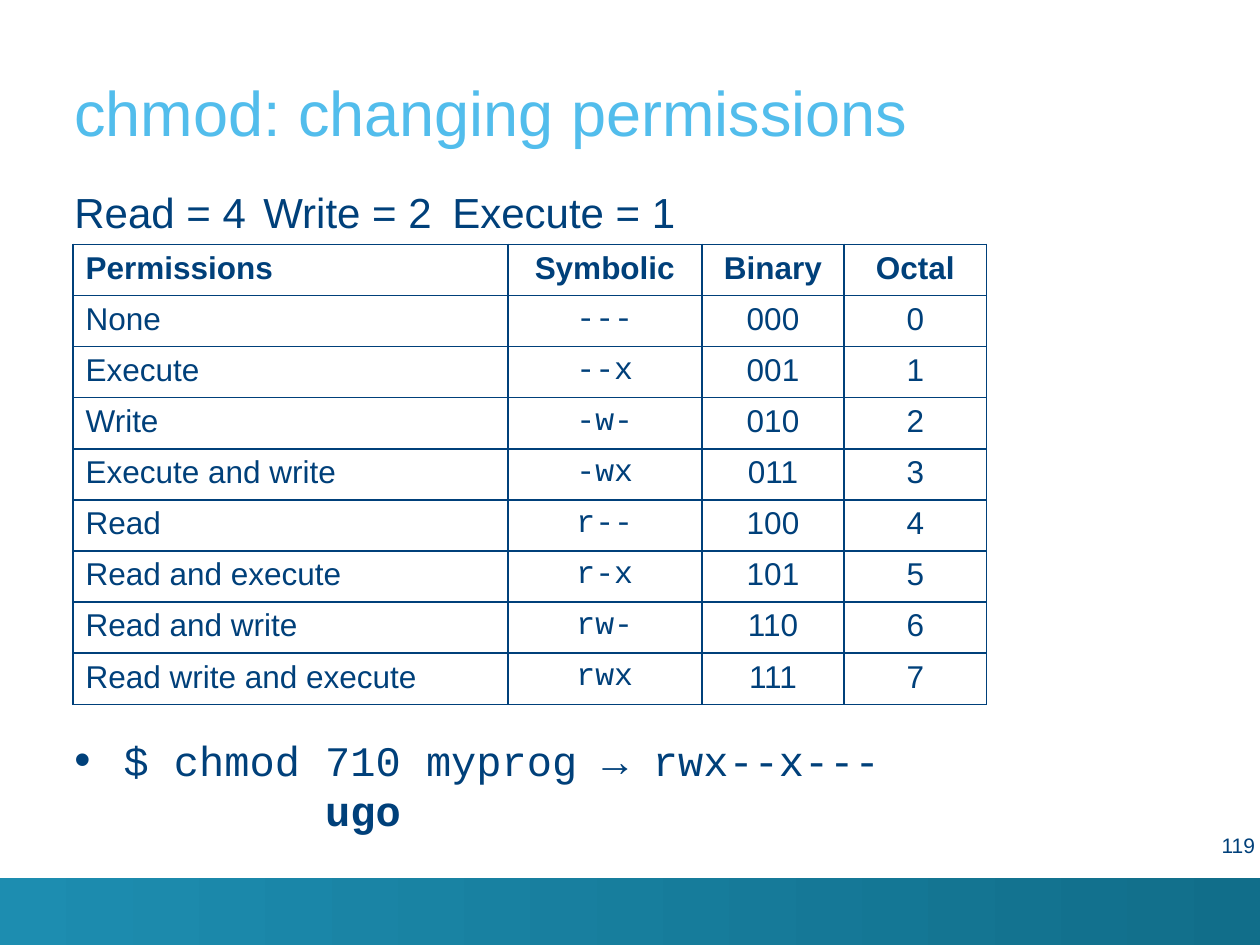
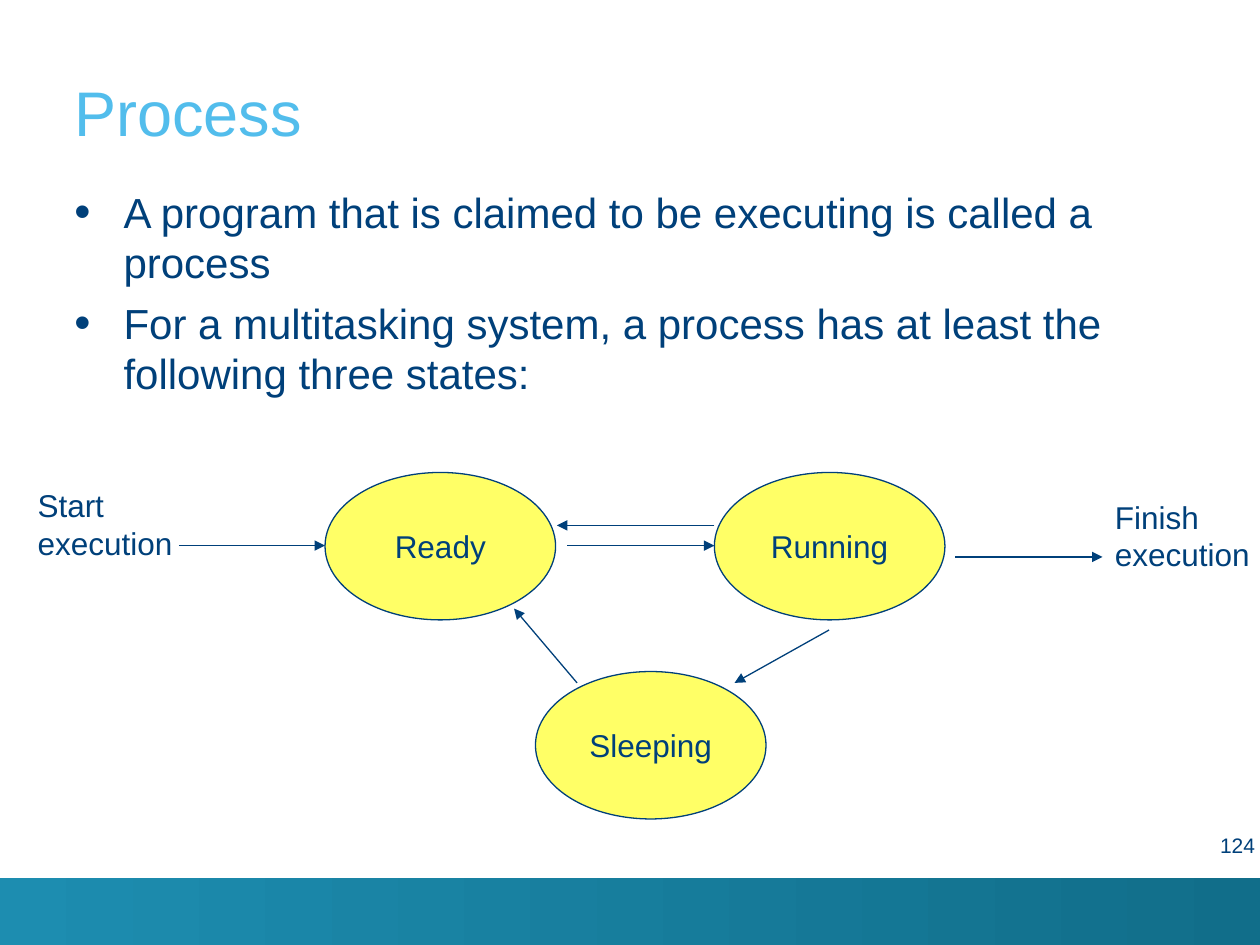
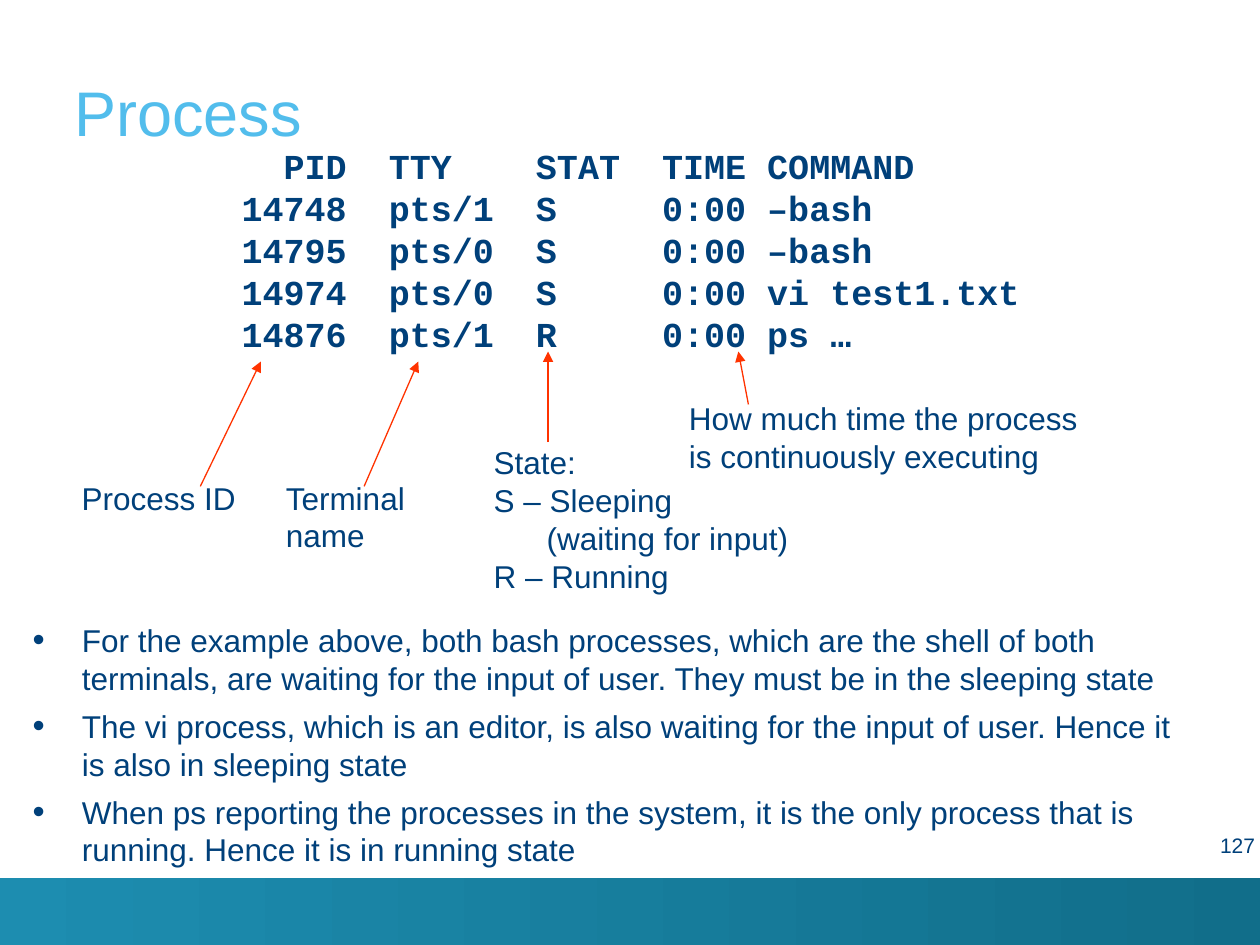
import pptx
import pptx.util
import pptx.dml.color
import pptx.enum.shapes
import pptx.enum.text
import pptx.oxml
import pptx.oxml.ns
from lxml import etree

Inches = pptx.util.Inches
Pt = pptx.util.Pt
ALIGN = pptx.enum.text.PP_ALIGN
ANCHOR = pptx.enum.text.MSO_ANCHOR
SHAPE = pptx.enum.shapes.MSO_SHAPE
LINE = pptx.enum.shapes.MSO_CONNECTOR

HUES = {"navy": "00407A", "sky": "52BDEC", "teal": "1D8DB0", "deep": "116E8A",
        "yellow": "FFFF66", "red": "FF3300"}
SANS, MONO = "Arial", "Courier New"
LEAD = 1.2      # line height as a share of the text size
HANG = 0.39     # hanging indent of bullets, inches
BODY = (0.59, 1.48, 9.11, 4.84)


def hue(name):
    return pptx.dml.color.RGBColor.from_string(HUES[name])


def sub(parent, tag, **attrs):
    node = etree.SubElement(parent, pptx.oxml.ns.qn(tag))
    for key, value in attrs.items():
        node.set(key, str(value))
    return node


# Text
def add_run(para, text, size, font=SANS, color="navy", bold=False):
    run = para.add_run()
    run.text = text
    run.font.size = Pt(size)
    run.font.name = font
    run.font.bold = bold
    run.font.color.rgb = hue(color)


def indent(para, left, first=0):
    props = para._p.get_or_add_pPr()
    props.set("marL", str(Inches(left)))
    props.set("indent", str(Inches(first)))
    return props


def bullet(para):
    props = indent(para, HANG, -HANG)
    sub(props, "a:buSzPct", val=110000)
    sub(props, "a:buFont", typeface=SANS)
    sub(props, "a:buChar", char="•")


def fill_text(frame, lines, size, align=ALIGN.LEFT, bullets=False, gap=0, **look):
    for i, line in enumerate(lines):
        para = frame.paragraphs[0] if i == 0 else frame.add_paragraph()
        if bullets:
            bullet(para)
        para.alignment = align
        para.line_spacing = Pt(size * LEAD)
        if i and gap:
            para.space_before = Pt(gap)
        add_run(para, line, size, **look)


def add_text(slide, box, lines, size, inset=True, wrap=True, anchor=ANCHOR.TOP, **look):
    frame = slide.shapes.add_textbox(*map(Inches, box)).text_frame
    frame.word_wrap = wrap
    frame.vertical_anchor = anchor
    if not inset:
        frame.margin_left = frame.margin_right = 0
        frame.margin_top = frame.margin_bottom = 0
    fill_text(frame, lines, size, **look)
    return frame


def add_list(slide, box, lines, size):
    add_text(slide, box, lines, size, inset=False, bullets=True, gap=5.8)


# Lines
def add_arrow(slide, start, end, color="navy"):
    arrow = slide.shapes.add_connector(LINE.STRAIGHT, *map(Inches, start + end))
    arrow.line.color.rgb = hue(color)
    arrow.line.width = Pt(0.75)
    sub(arrow.line._get_or_add_ln(), "a:tailEnd", type="triangle")
    sub(arrow._element.spPr, "a:effectLst")


# Shared frame: band, title, number
def add_slide(deck, title, number):
    slide = deck.slides.add_slide(deck.slide_layouts[6])
    band = slide.shapes.add_shape(SHAPE.RECTANGLE, *map(Inches, (0, 6.97, 10, 0.53)))
    band.shadow.inherit = False
    band.line.fill.background()
    band.fill.gradient()
    band.fill.gradient_angle = 0
    for stop, name, place in zip(band.fill.gradient_stops, ("teal", "deep"), (0, 1)):
        stop.color.rgb = hue(name)
        stop.position = place
    add_text(slide, (0.59, 0.2, 9.11, 0.98), [title], 36, inset=False,
             anchor=ANCHOR.BOTTOM, color="sky")
    add_text(slide, (8.94, 6.61, 1.02, 0.31), [str(number)], 12, inset=False,
             align=ALIGN.RIGHT)
    return slide


# Permission table
def add_border(cell):
    props = cell._tc.get_or_add_tcPr()
    for i, side in enumerate(("a:lnL", "a:lnR", "a:lnT", "a:lnB")):
        edge = etree.Element(pptx.oxml.ns.qn(side), w=str(Pt(1)))
        sub(sub(edge, "a:solidFill"), "a:srgbClr", val=HUES["navy"])
        props.insert(i, edge)


def add_grid(slide, box, widths, rows):
    grid = slide.shapes.add_table(len(rows), len(widths), *map(Inches, box)).table
    grid.first_row = grid.horz_banding = False
    for col, width in zip(grid.columns, widths):
        col.width = Inches(width)
    for r, row in enumerate(rows):
        grid.rows[r].height = Inches(box[3] / len(rows))
        for c, text in enumerate(row):
            cell = grid.cell(r, c)
            cell.fill.background()
            add_border(cell)
            para = cell.text_frame.paragraphs[0]
            para.alignment = ALIGN.CENTER if c else ALIGN.LEFT
            add_run(para, text, 18, font=MONO if r and c == 1 else SANS, bold=r == 0)


def chmod_slide(deck):
    slide = add_slide(deck, "chmod: changing permissions", 119)
    left, top, width, _ = BODY
    add_text(slide, (left, top, width, 0.4), ["Read = 4\tWrite = 2\tExecute = 1"], 24,
             inset=False)
    names = ("None", "Execute", "Write", "Execute and write", "Read",
             "Read and execute", "Read and write", "Read write and execute")
    rows = [("Permissions", "Symbolic", "Binary", "Octal")]
    for n, name in enumerate(names):
        flags = "".join(f if n & bit else "-" for f, bit in zip("rwx", (4, 2, 1)))
        rows.append((name, flags, f"{n:03b}", str(n)))
    add_grid(slide, (0.58, 1.94, 7.26, 3.65), (3.45, 1.54, 1.13, 1.13), rows)

    # Command, with the digit owners below the mode
    frame = add_text(slide, (left, 5.83, width, 0.8), ["$ chmod 710 myprog → rwx--x---"],
                     24, inset=False, bullets=True, font=MONO)
    para = frame.add_paragraph()
    indent(para, HANG + 1.6)
    para.line_spacing = Pt(24 * LEAD)
    add_run(para, "ugo", 24, font=MONO, bold=True)


# Process states
def add_state(slide, left, top, name):
    oval = slide.shapes.add_shape(SHAPE.OVAL, *map(Inches, (left, top, 1.83, 1.17)))
    oval.shadow.inherit = False
    oval.fill.solid()
    oval.fill.fore_color.rgb = hue("yellow")
    oval.line.color.rgb = hue("navy")
    oval.line.width = Pt(0.75)
    oval.text_frame.word_wrap = False
    oval.text_frame.vertical_anchor = ANCHOR.MIDDLE
    fill_text(oval.text_frame, [name], 18, align=ALIGN.CENTER)


def add_states(slide, x, y):
    for dx, dy, name in ((2.38, 0, "Ready"), (5.47, 0, "Running"), (4.05, 1.58, "Sleeping")):
        add_state(slide, x + dx, y + dy, name)
    for x1, y1, x2, y2 in ((1.22, 0.58, 2.38, 0.58), (4.3, 0.58, 5.47, 0.58),
                           (7.38, 0.67, 8.55, 0.67), (4.38, 1.67, 3.88, 1.08),
                           (5.47, 0.42, 4.22, 0.42), (6.38, 1.25, 5.63, 1.67)):
        add_arrow(slide, (x + x1, y + y1), (x + x2, y + y2))
    add_text(slide, (x, y + 0.06, 1.6, 0.9), ["Start execution"], 18)
    add_text(slide, (x + 8.55, y + 0.15, 1.67, 0.9), ["Finish execution"], 18)


def state_slide(deck):
    slide = add_slide(deck, "Process", 124)
    add_list(slide, BODY, [
        "A program that is claimed to be executing is called a process",
        "For a multitasking system, a process has at least the following three states:",
    ], 24)
    add_states(slide, 0.2, 3.75)


# Process listing with its notes
def add_notes(slide, x, y):
    add_text(slide, (x + 1.27, y, 6.43, 1.78), [
        "  PID  TTY    STAT  TIME COMMAND",
        "14748  pts/1  S     0:00 –bash",
        "14795  pts/0  S     0:00 –bash",
        "14974  pts/0  S     0:00 vi test1.txt",
        "14876  pts/1  R     0:00 ps …",
    ], 20, wrap=False, font=MONO, bold=True)
    for dx, dy, width, height, lines in (
            (0, 2.65, 1.66, 0.5, ["Process ID"]),
            (1.62, 2.65, 1.67, 0.9, ["Terminal name"]),
            (3.27, 2.37, 3.33, 1.7,
             ["State:", "S – Sleeping", "(waiting for input)", "R – Running"]),
            (4.82, 2.02, 3.33, 1.3, ["How much time the process is continuously executing"])):
        frame = add_text(slide, (x + dx, y + dy, width, height), lines, 18)
        if len(lines) > 1:
            indent(frame.paragraphs[2], 0.42)
    for x1, y1, x2, y2 in ((1.04, 2.76, 1.52, 1.77), (2.34, 2.76, 2.77, 1.77),
                           (3.8, 2.41, 3.8, 1.69), (5.39, 2.11, 5.31, 1.69)):
        add_arrow(slide, (x + x1, y + y1), (x + x2, y + y2), "red")


def list_slide(deck):
    slide = add_slide(deck, "Process", 127)
    add_list(slide, (0.26, 4.93, 9.11, 1.46), [
        "For the example above, both bash processes, which are the shell of both terminals, "
        "are waiting for the input of user. They must be in the sleeping state",
        "The vi process, which is an editor, is also waiting for the input of user. "
        "Hence it is also in sleeping state",
        "When ps reporting the processes in the system, it is the only process that is "
        "running. Hence it is in running state",
    ], 18)
    add_notes(slide, 0.55, 1.1)


def main():
    deck = pptx.Presentation()
    deck.slide_width, deck.slide_height = Inches(10), Inches(7.5)
    for build in (chmod_slide, state_slide, list_slide):
        build(deck)
    deck.save("out.pptx")


if __name__ == "__main__":
    main()
